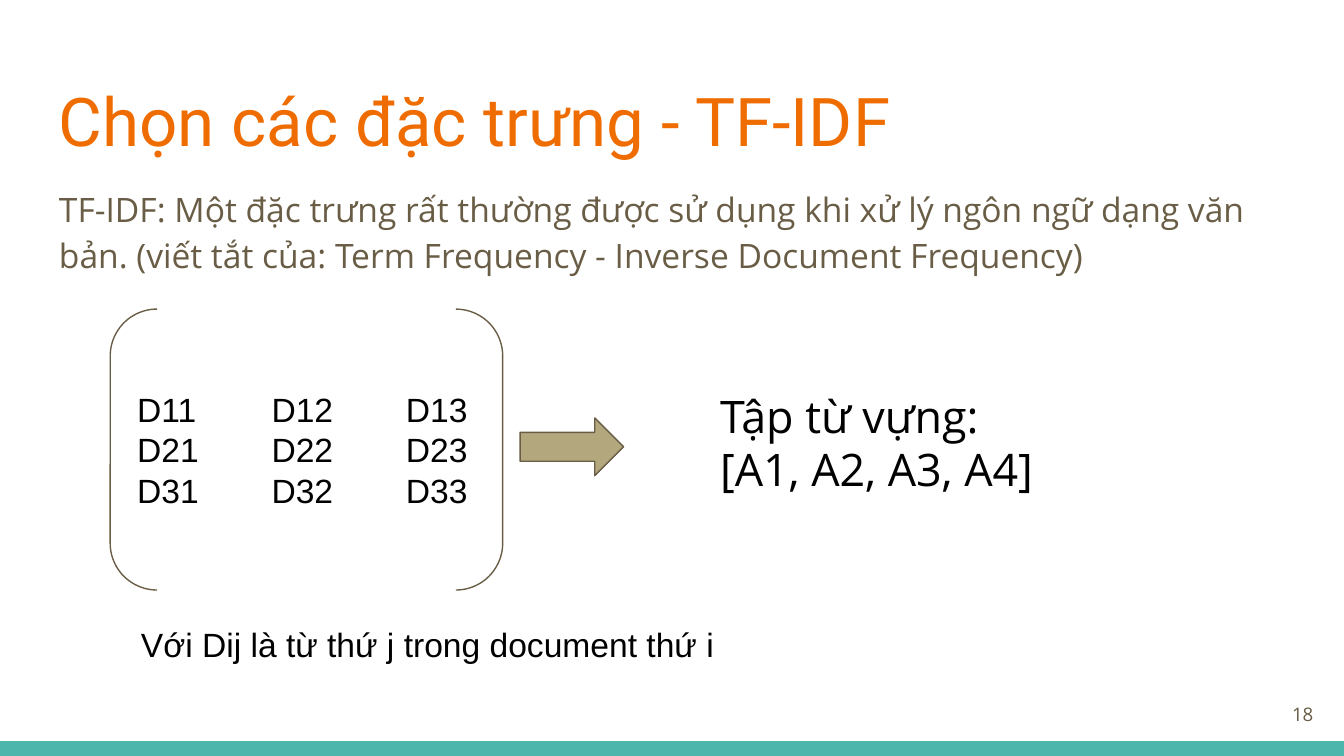
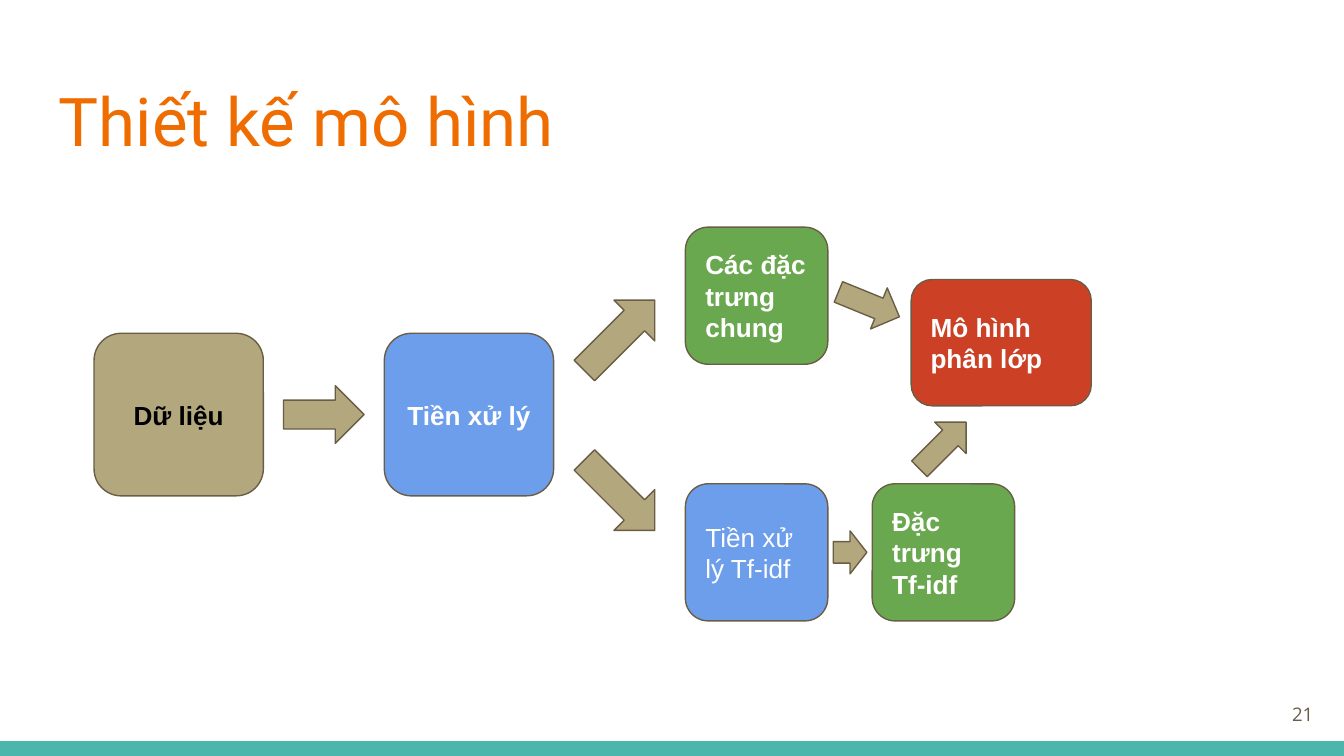
from pptx import Presentation
from pptx.dml.color import RGBColor
from pptx.enum.shapes import MSO_SHAPE as SHAPE
from pptx.enum.text import MSO_ANCHOR as ANCHOR, PP_ALIGN as ALIGN
from pptx.util import Inches, Pt

COLORS = {
    "band": "4DB6AC", "title": "EF6C00", "muted": "695D46", "sand": "B3A77D",
    "blue": "6D9EEB", "green": "6AA84F", "red": "CC4125",
    "black": "000000", "white": "FFFFFF",
}
WIDTH = 10
HEIGHT = WIDTH * 9 / 16
BAND = 0.11

TFIDF_TITLE = "Chọn các đặc trưng - TF-IDF"
TFIDF_INTRO = ("TF-IDF: Một đặc trưng rất thường được sử dụng khi xử lý ngôn ngữ dạng "
               "văn bản. (viết tắt của: Term Frequency - Inverse Document Frequency)")
MATRIX = [[f"D{i}{j}" for j in (1, 2, 3)] for i in (1, 2, 3)]
MATRIX_NOTE = "Với Dij là từ thứ j trong document thứ i"
VOCABULARY = "Tập từ vựng:\n[A1, A2, A3, A4]"

MODEL_TITLE = "Thiết kế mô hình"
LARGE, SMALL, WIDE = (1.26, 1.21), (1.06, 1.02), (1.34, 0.94)
# text, left, top, size, fill, text colour, bold, alignment
STEPS = [
    ("Dữ liệu", 0.7, 2.48, LARGE, "sand", "black", True, ALIGN.CENTER),
    ("Tiền xử lý", 2.86, 2.48, LARGE, "blue", "white", True, ALIGN.CENTER),
    ("Các đặc trưng chung", 5.1, 1.69, SMALL, "green", "white", True, ALIGN.LEFT),
    ("Tiền xử lý Tf-idf", 5.1, 3.6, SMALL, "blue", "white", False, ALIGN.LEFT),
    ("Đặc trưng Tf-idf", 6.49, 3.6, SMALL, "green", "white", True, ALIGN.LEFT),
    ("Mô hình phân lớp", 6.78, 2.08, WIDE, "red", "white", True, ALIGN.LEFT),
]
# left, top, width, height, rotation
ARROWS = [
    (2.11, 2.87, 0.6, 0.43, 0),
    (4.24, 2.28, 0.74, 0.43, 315),
    (4.24, 3.47, 0.74, 0.43, 45),
    (6.22, 2.1, 0.49, 0.33, 22.2),
    (6.2, 3.95, 0.25, 0.32, 0),
    (6.77, 3.15, 0.49, 0.33, 315),
]


def rgb(name):
    return RGBColor.from_string(COLORS[name])


def write(sp, text, size, color, font="Arial", bold=False, align=ALIGN.LEFT,
          anchor=ANCHOR.TOP, spacing=None):
    tf = sp.text_frame
    tf.word_wrap = True
    tf.vertical_anchor = anchor
    tf.margin_left = tf.margin_right = tf.margin_top = tf.margin_bottom = Inches(0.1)
    tf.text = text
    for p in tf.paragraphs:
        p.alignment = align
        if spacing:
            p.line_spacing = spacing
        for r in p.runs:
            r.font.name = font
            r.font.size = Pt(size)
            r.font.bold = bold
            r.font.color.rgb = rgb(color)


def add_text(s, box, text, size, color, **style):
    write(s.shapes.add_textbox(*map(Inches, box)), text, size, color, **style)


def add_shape(s, kind, box, fill=None, line="muted"):
    sp = s.shapes.add_shape(kind, *map(Inches, box))
    sp.shadow.inherit = False
    if fill:
        sp.fill.solid()
        sp.fill.fore_color.rgb = rgb(fill)
    else:
        sp.fill.background()
    if line:
        sp.line.color.rgb = rgb(line)
        sp.line.width = Pt(0.75)
    else:
        sp.line.fill.background()
    return sp


def add_arrow(s, left, top, width, height, rotation=0):
    sp = add_shape(s, SHAPE.RIGHT_ARROW, (left, top, width, height), "sand")
    sp.rotation = rotation


def add_slide(prs, title, number):
    """Add a slide with the shared band, title and page number."""
    s = prs.slides.add_slide(prs.slide_layouts[6])
    s.background.fill.solid()
    s.background.fill.fore_color.rgb = rgb("white")
    add_shape(s, SHAPE.RECTANGLE, (0, HEIGHT - BAND, WIDTH, BAND), "band", line=None)
    add_text(s, (0.34, 0.49, 9.32, 0.77), title, 36, "title", font="Roboto")
    add_text(s, (9.27, 5.1, 0.6, 0.43), str(number), 10, "muted", font="Open Sans",
             align=ALIGN.RIGHT, anchor=ANCHOR.MIDDLE)
    return s


def build_tfidf(prs):
    s = add_slide(prs, TFIDF_TITLE, 18)
    add_text(s, (0.34, 1.26, 9.32, 1.09), TFIDF_INTRO, 18, "muted",
             font="Open Sans", spacing=1.15)
    brackets = add_shape(s, SHAPE.DOUBLE_BRACKET, (0.82, 2.3, 2.92, 2.09))
    rows = "\n".join(" \t".join(row) for row in MATRIX)
    write(brackets, rows, 18, "black", anchor=ANCHOR.MIDDLE)
    add_arrow(s, 3.87, 3.11, 0.77, 0.43)
    add_text(s, (0.95, 4.54, 5.09, 0.63), MATRIX_NOTE, 18, "black")
    add_text(s, (5.26, 2.79, 4.26, 1.08), VOCABULARY, 24, "black", font="Open Sans")


def build_model(prs):
    s = add_slide(prs, MODEL_TITLE, 21)
    for text, left, top, size, fill, color, bold, align in STEPS:
        sp = add_shape(s, SHAPE.ROUNDED_RECTANGLE, (left, top, *size), fill)
        write(sp, text, 14, color, bold=bold, align=align, anchor=ANCHOR.MIDDLE)
    for arrow in ARROWS:
        add_arrow(s, *arrow)


def main():
    prs = Presentation()
    prs.slide_width, prs.slide_height = Inches(WIDTH), Inches(HEIGHT)
    build_tfidf(prs)
    build_model(prs)
    prs.save("out.pptx")


if __name__ == "__main__":
    main()
